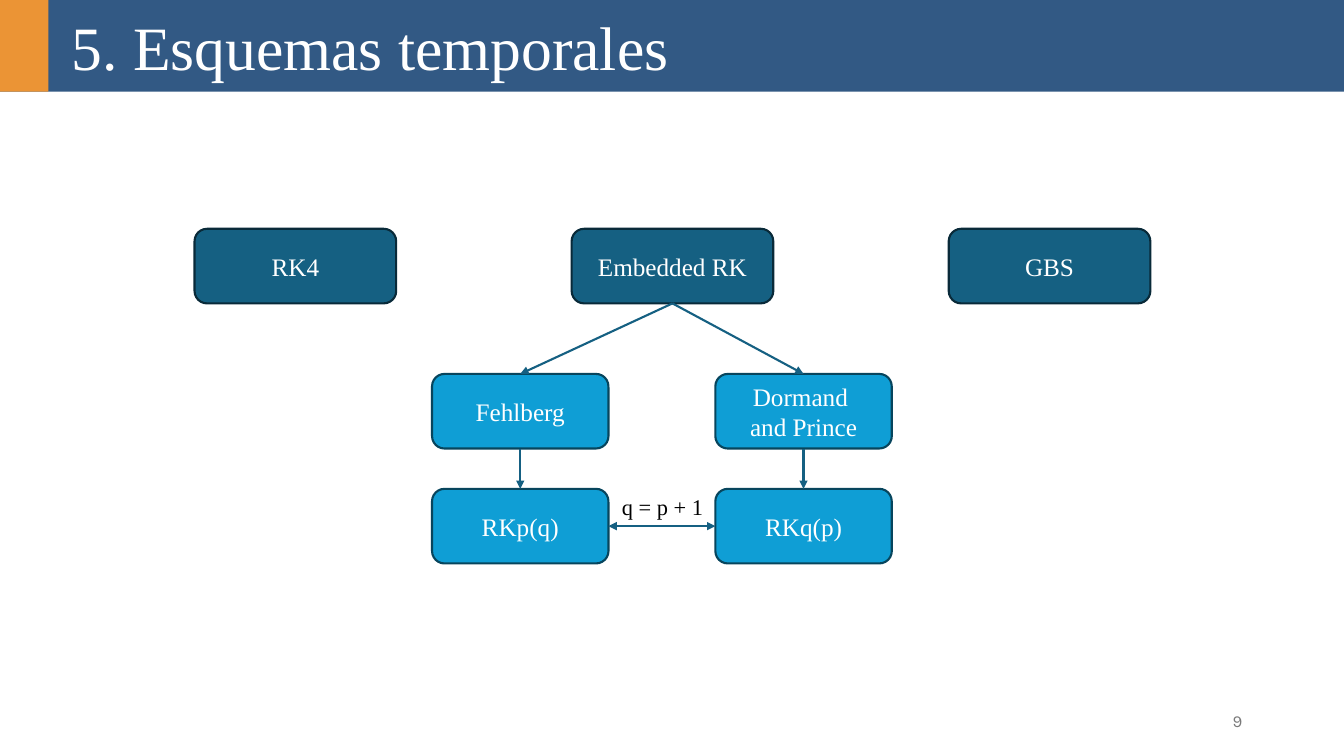
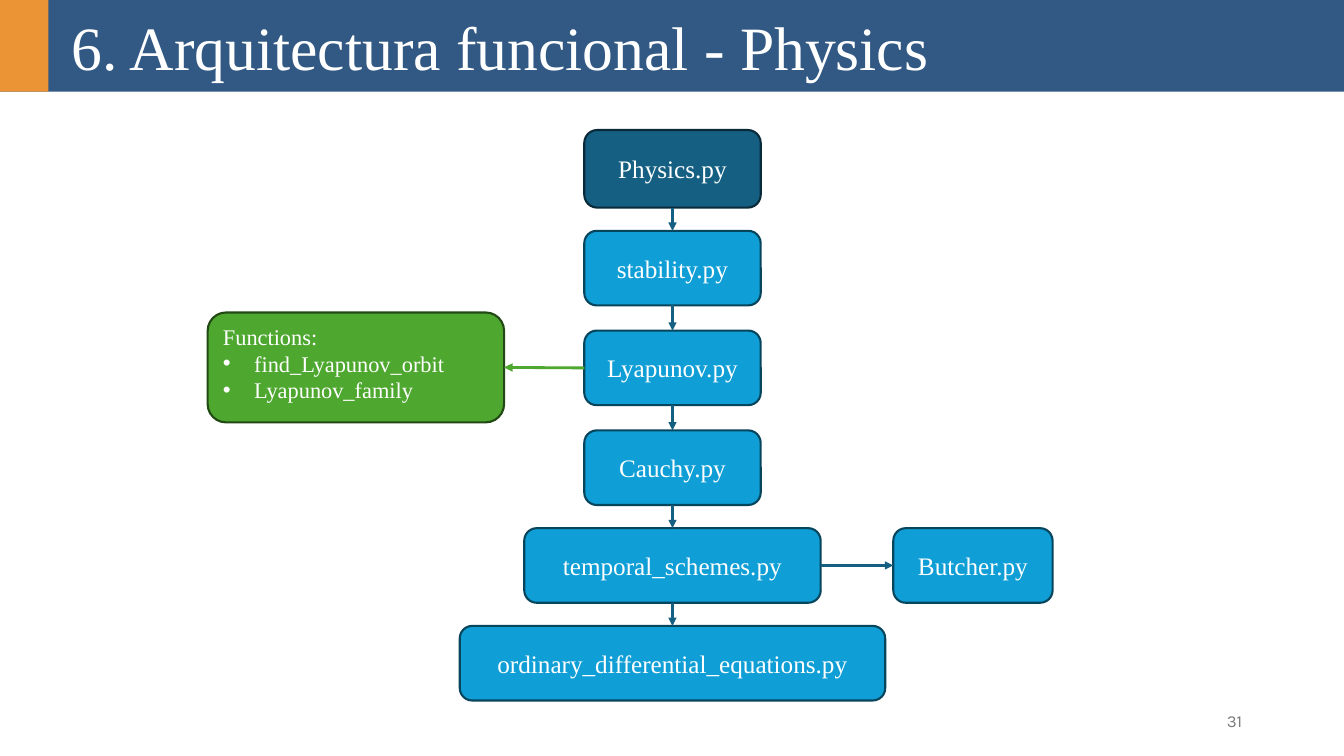
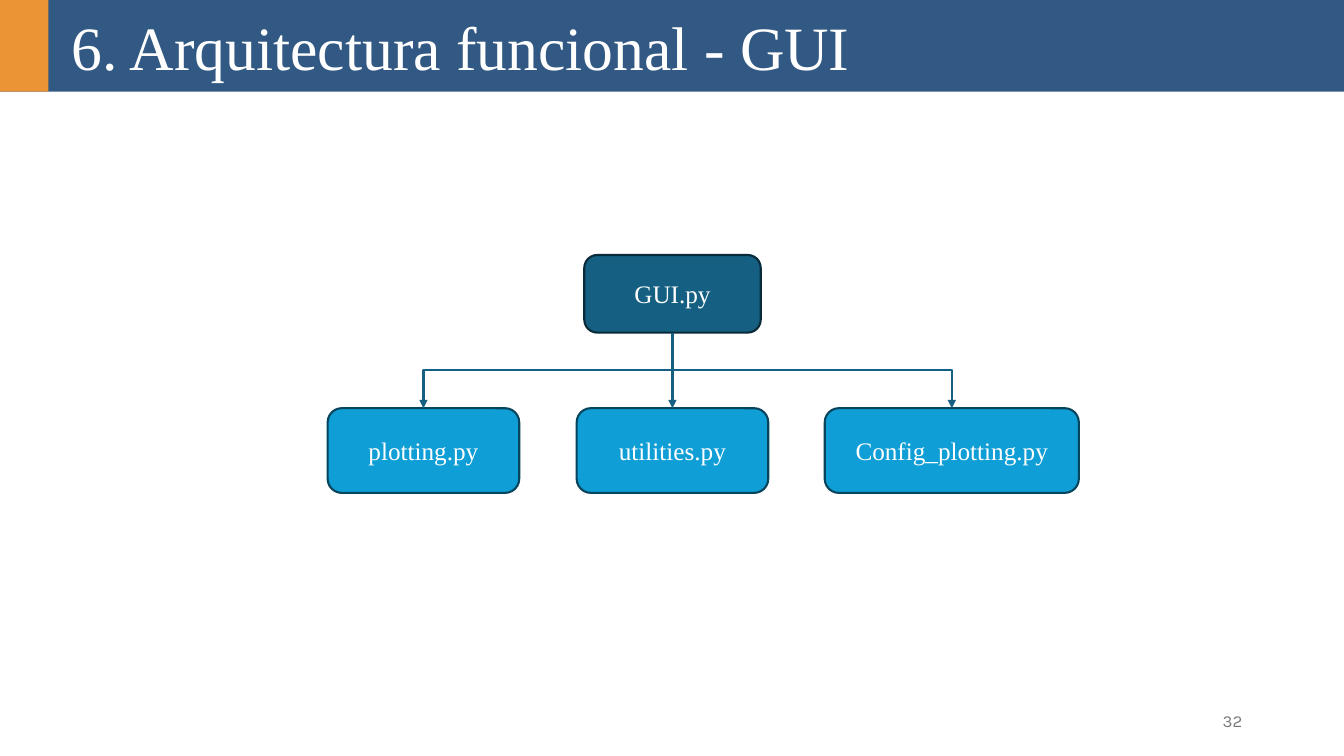
from lxml import etree
from pptx import Presentation
from pptx import util as u
from pptx.dml.color import RGBColor
from pptx.enum import shapes, text
from pptx.oxml import ns

# Shared style
WHITE = RGBColor(0xFF, 0xFF, 0xFF)
BLACK = RGBColor(0x00, 0x00, 0x00)
GREY = RGBColor(0x79, 0x79, 0x79)
BAND = RGBColor(0x32, 0x59, 0x84)
ACCENT = RGBColor(0xEB, 0x94, 0x35)
DARK = RGBColor(0x15, 0x60, 0x82)
DARK_EDGE = RGBColor(0x09, 0x2A, 0x39)
BLUE = RGBColor(0x0F, 0x9E, 0xD5)
BLUE_EDGE = RGBColor(0x07, 0x45, 0x5D)
GREEN = RGBColor(0x4E, 0xA7, 0x2E)
GREEN_EDGE = RGBColor(0x22, 0x49, 0x14)

MAIN = (DARK, DARK_EDGE)
MODULE = (BLUE, BLUE_EDGE)
DETAIL = (GREEN, GREEN_EDGE)

SERIF = "Times New Roman"
SLIDE_WIDTH, SLIDE_HEIGHT = 13.33, 7.5
BAND_HEIGHT = 0.91
CENTER = 6.67
TOP, LEFT, BOTTOM, RIGHT = range(4)


def add_bullet(para):
    props = para._p.get_or_add_pPr()
    indent = u.Inches(0.31)
    props.set("marL", str(indent))
    props.set("indent", str(-indent))
    etree.SubElement(props, ns.qn("a:buFont")).set("typeface", "Arial")
    etree.SubElement(props, ns.qn("a:buChar")).set("char", "•")


def write(frame, lines, size=18, font=SERIF, color=WHITE, bullets=False,
          align=text.PP_ALIGN.CENTER, anchor=text.MSO_ANCHOR.MIDDLE, wrap=True):
    """Fill a text frame; with bullets, every line after the first has one."""
    frame.word_wrap = wrap
    frame.vertical_anchor = anchor
    for index, line in enumerate(lines.split("\n")):
        para = frame.add_paragraph() if index else frame.paragraphs[0]
        para.alignment = align
        if bullets and index:
            add_bullet(para)
        span = para.add_run()
        span.text = line
        span.font.size = u.Pt(size)
        span.font.name = font
        span.font.color.rgb = color


class Slides:
    def __init__(self):
        self.deck = Presentation()
        self.deck.slide_width = u.Inches(SLIDE_WIDTH)
        self.deck.slide_height = u.Inches(SLIDE_HEIGHT)
        self.page = None

    def start(self, title, number):
        """Add a slide with its title band, accent and number."""
        self.page = self.deck.slides.add_slide(self.deck.slide_layouts[5])
        band = self.page.shapes.title
        band.left = band.top = 0
        band.width, band.height = u.Inches(SLIDE_WIDTH), u.Inches(BAND_HEIGHT)
        band.fill.solid()
        band.fill.fore_color.rgb = BAND
        frame = band.text_frame
        frame.auto_size = text.MSO_AUTO_SIZE.NONE
        frame.margin_left = u.Inches(0.71)
        write(frame, title, size=44, align=text.PP_ALIGN.LEFT)
        self.shape(shapes.MSO_SHAPE.RECTANGLE, 0, 0, 0.48, BAND_HEIGHT, ACCENT)
        self.label(str(number), 9.42, 6.95, 3, 0.4, size=12, font="Karla",
                   color=GREY, align=text.PP_ALIGN.RIGHT)

    def shape(self, kind, left, top, width, height, fill, edge=None):
        box = self.page.shapes.add_shape(
            kind, *map(u.Inches, (left, top, width, height)))
        box.shadow.inherit = False
        box.fill.solid()
        box.fill.fore_color.rgb = fill
        if edge is None:
            box.line.fill.background()
        else:
            box.line.color.rgb = edge
            box.line.width = u.Pt(1.5)
        return box

    def node(self, lines, center, top, width=1.75, height=0.74, look=MODULE, **style):
        """Add a rounded box, placed by its horizontal centre."""
        box = self.shape(shapes.MSO_SHAPE.FLOWCHART_ALTERNATE_PROCESS,
                         center - width / 2, top, width, height, *look)
        write(box.text_frame, lines, **style)
        return box

    def label(self, lines, left, top, width, height, **style):
        box = self.page.shapes.add_textbox(
            *map(u.Inches, (left, top, width, height)))
        write(box.text_frame, lines, **style)

    def arrow(self, start, end, sides=(BOTTOM, TOP), color=DARK, width=1.5,
              both=False, kind=shapes.MSO_CONNECTOR.STRAIGHT):
        """Join two boxes with an arrow."""
        line = self.page.shapes.add_connector(kind, 0, 0, 0, 0)
        line.begin_connect(start, sides[0])
        line.end_connect(end, sides[1])
        line.line.color.rgb = color
        line.line.width = u.Pt(width)
        outline = line.line._get_or_add_ln()
        for tag in ("a:headEnd", "a:tailEnd") if both else ("a:tailEnd",):
            etree.SubElement(outline, ns.qn(tag)).set("type", "triangle")
        etree.SubElement(line.element.spPr, ns.qn("a:effectLst"))
        return line

    def elbow(self, start, end):
        """Join a box to one below it by a line that goes down, across, down."""
        line = self.arrow(start, end, kind=shapes.MSO_CONNECTOR.ELBOW)
        across, down = line.end_x - line.begin_x, line.end_y - line.begin_y
        middle_x = (line.begin_x + line.end_x) // 2
        middle_y = (line.begin_y + line.end_y) // 2
        # A quarter turn swaps the width and the height
        line.width, line.height = down, abs(across)
        line.left = middle_x - down // 2
        line.top = middle_y - abs(across) // 2
        frame = line.element.spPr.find(ns.qn("a:xfrm"))
        frame.set("rot", str((270 if across > 0 else 90) * 60000))
        frame.set("flipH", "1" if across > 0 else "0")


def temporal_schemes(slides):
    slides.start("5. Esquemas temporales", 9)

    # Families of schemes
    pitch = 3.74
    families = [slides.node(name, CENTER + step * pitch, 2.27, 2, look=MAIN)
                for step, name in zip((-1, 0, 1), ("RK4", "Embedded RK", "GBS"))]

    # Two embedded variants, each with its pair of orders
    pairs = []
    for center, author, orders in ((5.16, "Fehlberg", "RKp(q)"),
                                   (7.97, "Dormand \nand Prince", "RKq(p)")):
        variant = slides.node(author, center, 3.71)
        pair = slides.node(orders, center, 4.85)
        slides.arrow(families[1], variant)
        slides.arrow(variant, pair)
        pairs.append(pair)
    slides.arrow(*pairs, sides=(RIGHT, LEFT), both=True)
    slides.label("q = p + 1", 6.07, 4.84, 1.02, 0.37, size=16, color=BLACK,
                 align=text.PP_ALIGN.LEFT, anchor=text.MSO_ANCHOR.TOP, wrap=False)


def physics(slides):
    slides.start("6. Arquitectura funcional - Physics", 31)

    # Chain of modules
    chain = [slides.node("Physics.py", CENTER, 1.29, height=0.77, look=MAIN)]
    for name, top, width in (("stability.py", 2.29, 1.75),
                             ("Lyapunov.py", 3.28, 1.75),
                             ("Cauchy.py", 4.27, 1.75),
                             ("temporal_schemes.py", 5.24, 2.94),
                             ("ordinary_differential_equations.py", 6.21, 4.22)):
        chain.append(slides.node(name, CENTER, top, width))
        slides.arrow(*chain[-2:])

    # Side branches
    lyapunov, schemes = chain[2], chain[4]
    butcher = slides.node("Butcher.py", 9.65, 5.24, 1.58)
    slides.arrow(schemes, butcher, sides=(RIGHT, LEFT))
    functions = slides.node(
        "Functions:\nfind_Lyapunov_orbit\nLyapunov_family", 3.53, 3.1, 2.94, 1.09,
        look=DETAIL, size=16, bullets=True,
        align=text.PP_ALIGN.LEFT, anchor=text.MSO_ANCHOR.TOP)
    slides.arrow(lyapunov, functions, sides=(LEFT, RIGHT), color=GREEN, width=2)


def gui(slides):
    slides.start("6. Arquitectura funcional - GUI", 32)
    root = slides.node("GUI.py", CENTER, 2.53, height=0.77, look=MAIN)

    # Modules below the root
    for name, center, width, join in (
            ("plotting.py", 4.2, 1.9, slides.elbow),
            ("utilities.py", CENTER, 1.9, slides.arrow),
            ("Config_plotting.py", 9.44, 2.52, slides.elbow)):
        join(root, slides.node(name, center, 4.05, width, 0.84))


def main():
    slides = Slides()
    temporal_schemes(slides)
    physics(slides)
    gui(slides)
    slides.deck.save("out.pptx")


if __name__ == "__main__":
    main()
